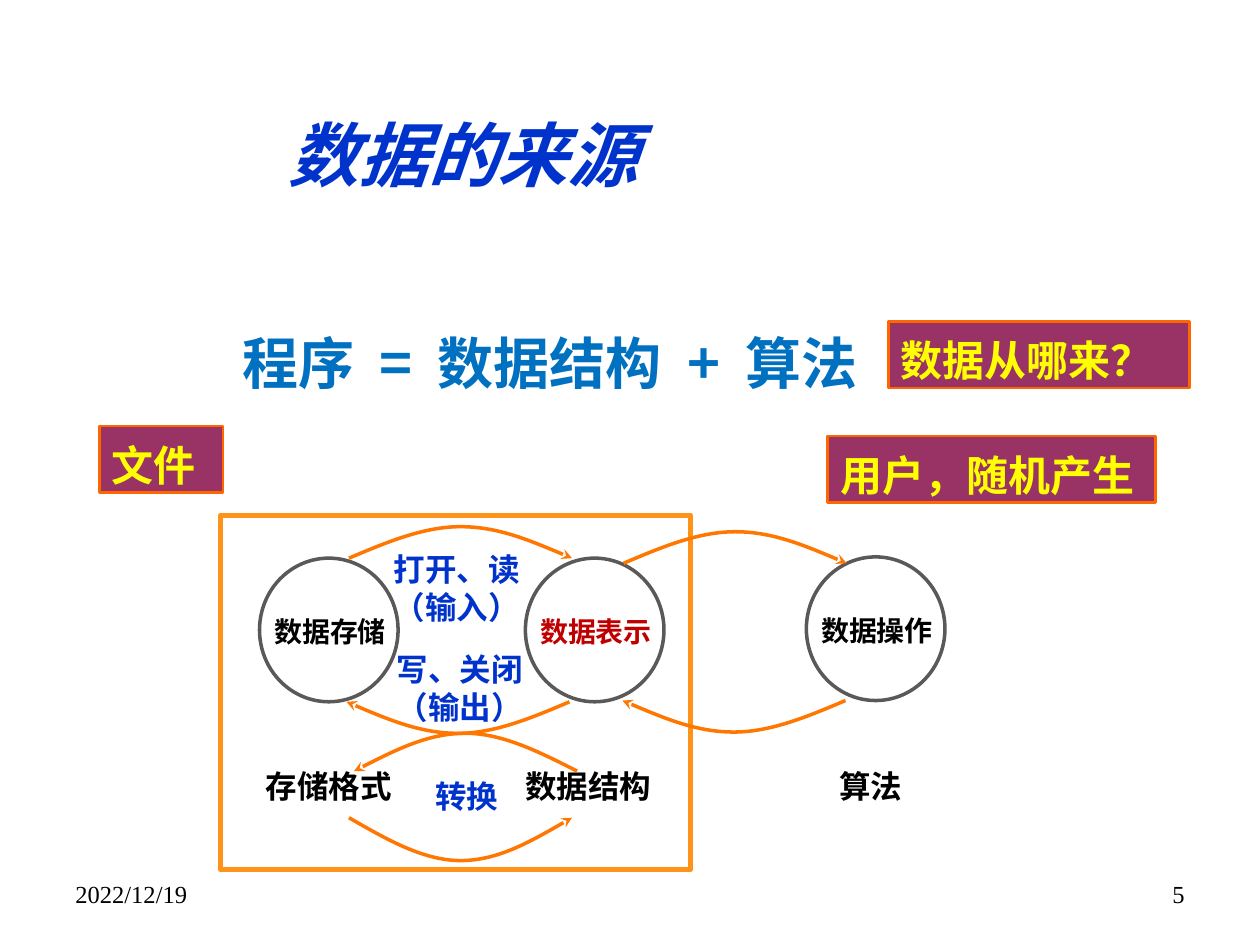
from lxml.etree import SubElement
from pptx import Presentation
from pptx.dml.color import RGBColor
from pptx.enum.shapes import MSO_SHAPE
from pptx.enum.text import MSO_ANCHOR, PP_ALIGN
from pptx.oxml.ns import qn
from pptx.util import Inches, Pt

HEX = {
    "blue": "0033CC", "sky": "0070C0", "black": "000000", "red": "C00000",
    "yellow": "FFFF00", "plum": "993366", "edge": "FF6600", "arc": "FF7700",
    "frame": "FF931A", "grey": "595959",
}
RGB = {name: RGBColor.from_string(code) for name, code in HEX.items()}
CJK, MONO, SERIF = "Noto Sans CJK SC", "Courier New", "Times New Roman"

deck = Presentation()
deck.slide_width, deck.slide_height = Inches(10), Inches(7.5)
shapes = deck.slides.add_slide(deck.slide_layouts[6]).shapes


def write(shape, text, size, face, color, bold=True, align=PP_ALIGN.CENTER):
    """Fill the shape with one paragraph per line of text."""
    frame = shape.text_frame
    frame.word_wrap = True
    frame.text = text
    for para in frame.paragraphs:
        para.alignment = align
        font = para.font
        font.size, font.name, font.bold = Pt(size), face, bold
        font.color.rgb = RGB[color]
        SubElement(font._element, qn("a:ea"), typeface=CJK)
    return frame


def outline(kind, box, color, width, fill=None):
    shape = shapes.add_shape(kind, *map(Inches, box))
    shape.shadow.inherit = False
    shape.line.color.rgb = RGB[color]
    shape.line.width = Pt(width)
    if fill:
        shape.fill.solid()
        shape.fill.fore_color.rgb = RGB[fill]
    else:
        shape.fill.background()
    return shape


# Footer
for left, text, align in [(0.5, "2022/12/19", PP_ALIGN.LEFT), (7.17, "5", PP_ALIGN.RIGHT)]:
    foot = shapes.add_textbox(Inches(left), Inches(6.93), Inches(2.33), Inches(0.52))
    write(foot, text, 14, SERIF, "black", False, align)

# Title with a text shadow
title = shapes.add_textbox(Inches(1.48), Inches(0.87), Inches(4.39), Inches(0.69))
frame = write(title, "数据的来源", 40, SERIF, "blue")
frame.margin_left = frame.margin_right = frame.margin_bottom = 0
frame.margin_top = Inches(0.01)
frame.vertical_anchor = MSO_ANCHOR.MIDDLE
head = frame.paragraphs[0]
head.font.italic = True
head.space_before = Pt(0.9)
effects = SubElement(head.runs[0].font._element, qn("a:effectLst"))
shadow = SubElement(effects, qn("a:outerShdw"), dist="35921", dir="2700000")
SubElement(shadow, qn("a:srgbClr"), val=HEX["black"])

# Formula, with wider gaps around the signs
formula = shapes.add_textbox(Inches(1.23), Inches(2.29), Inches(6.27), Inches(0.91))
para = write(formula, "", 32, CJK, "sky").paragraphs[0]
para.line_spacing = 1.5
for part in ["程序", " ", "=", " ", "数据结构", " ", "+", " ", "算法"]:
    run = para.add_run()
    run.text = part
    if part == " ":
        run.font._element.set("spc", "700")

# Circles
for left, top, text, color in [
    (2.06, 4.43, "数据存储", "black"),
    (4.17, 4.43, "数据表示", "red"),
    (6.4, 4.42, "数据操作", "black"),
]:
    outline(MSO_SHAPE.OVAL, (left, top, 1.1, 1.14), "grey", 2)
    name = shapes.add_textbox(Inches(left - 0.05), Inches(top + 0.4), Inches(1.22), Inches(0.38))
    write(name, text, 16, CJK, color)

# Labels
for left, top, width, text, color in [
    (1.95, 6.04, 1.32, "存储格式", "black"),
    (4.01, 6.04, 1.32, "数据结构", "black"),
    (6.25, 6.04, 1.32, "算法", "black"),
    (2.83, 4.32, 1.59, "打开、读（输入）", "blue"),
    (2.83, 5.11, 1.64, "写、关闭\n（输出）", "blue"),
    (2.91, 6.12, 1.59, "转换", "blue"),
]:
    label = shapes.add_textbox(Inches(left), Inches(top), Inches(width), Inches(0.4))
    write(label, text, 18, MONO, color)

# Notes
for left, top, width, text in [
    (7.05, 2.55, 2.39, "数据从哪来？"),
    (6.57, 3.46, 2.6, "用户，随机产生"),
    (0.79, 3.38, 0.98, "文件"),
]:
    note = outline(MSO_SHAPE.RECTANGLE, (left, top, width, 0.53), "edge", 1.5, "plum")
    frame = write(note, text, 24, CJK, "yellow", align=PP_ALIGN.JUSTIFY)
    frame.vertical_anchor = MSO_ANCHOR.MIDDLE
    frame.paragraphs[0].line_spacing = Pt(35)
    frame.paragraphs[0].space_before = Pt(6)

outline(MSO_SHAPE.RECTANGLE, (1.75, 4.09, 3.73, 2.81), "frame", 3)

# Arcs: start x, end x, end y, peak y
for start, end, base, peak in [
    (2.77, 4.54, 4.43, 4.18),
    (4.95, 6.72, 4.47, 4.22),
    (2.77, 4.54, 6.49, 6.83),
    (4.58, 2.81, 6.12, 5.82),
    (4.52, 2.75, 5.57, 5.82),
    (6.71, 4.94, 5.56, 5.81),
]:
    mid = (base + peak) / 2
    points = [
        (Inches(start + (end - start) * i / 6), Inches(y))
        for i, y in enumerate([base, mid, peak, peak, peak, mid, base])
    ]
    pen = shapes.build_freeform(*points[0])
    pen.add_line_segments(points[1:], close=False)
    arc = pen.convert_to_shape()
    arc.shadow.inherit = False
    arc.fill.background()
    arc.line.color.rgb = RGB["arc"]
    arc.line.width = Pt(2)
    SubElement(arc.line._get_or_add_ln(), qn("a:tailEnd"), type="stealth")
    # Every three points become one Bezier curve
    track = next(arc._element.iter(qn("a:path")))
    steps = track.findall(qn("a:lnTo"))
    for i in (0, 3):
        curve = SubElement(track, qn("a:cubicBezTo"))
        for step in steps[i:i + 3]:
            curve.append(step[0])
            track.remove(step)

deck.save("out.pptx")
